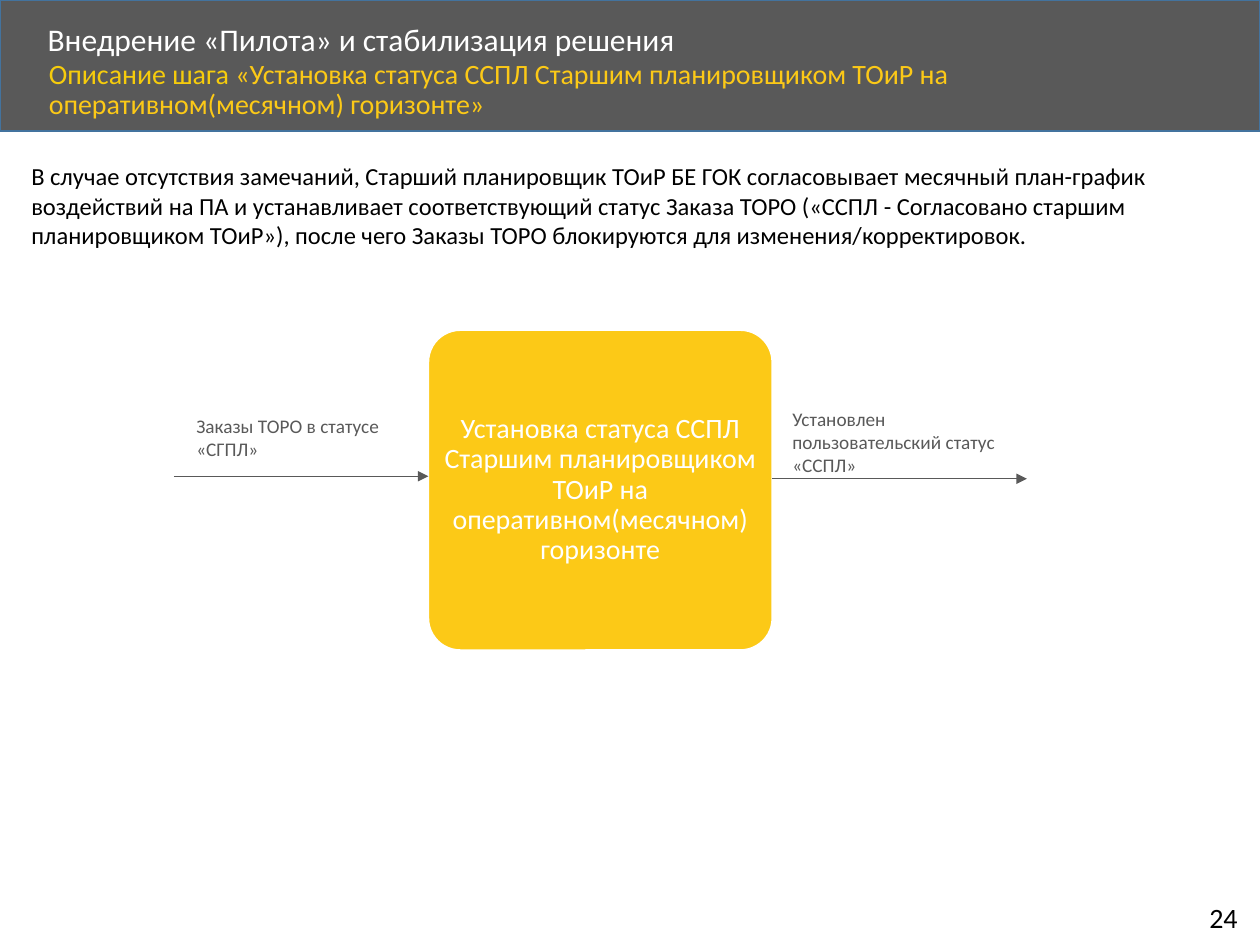
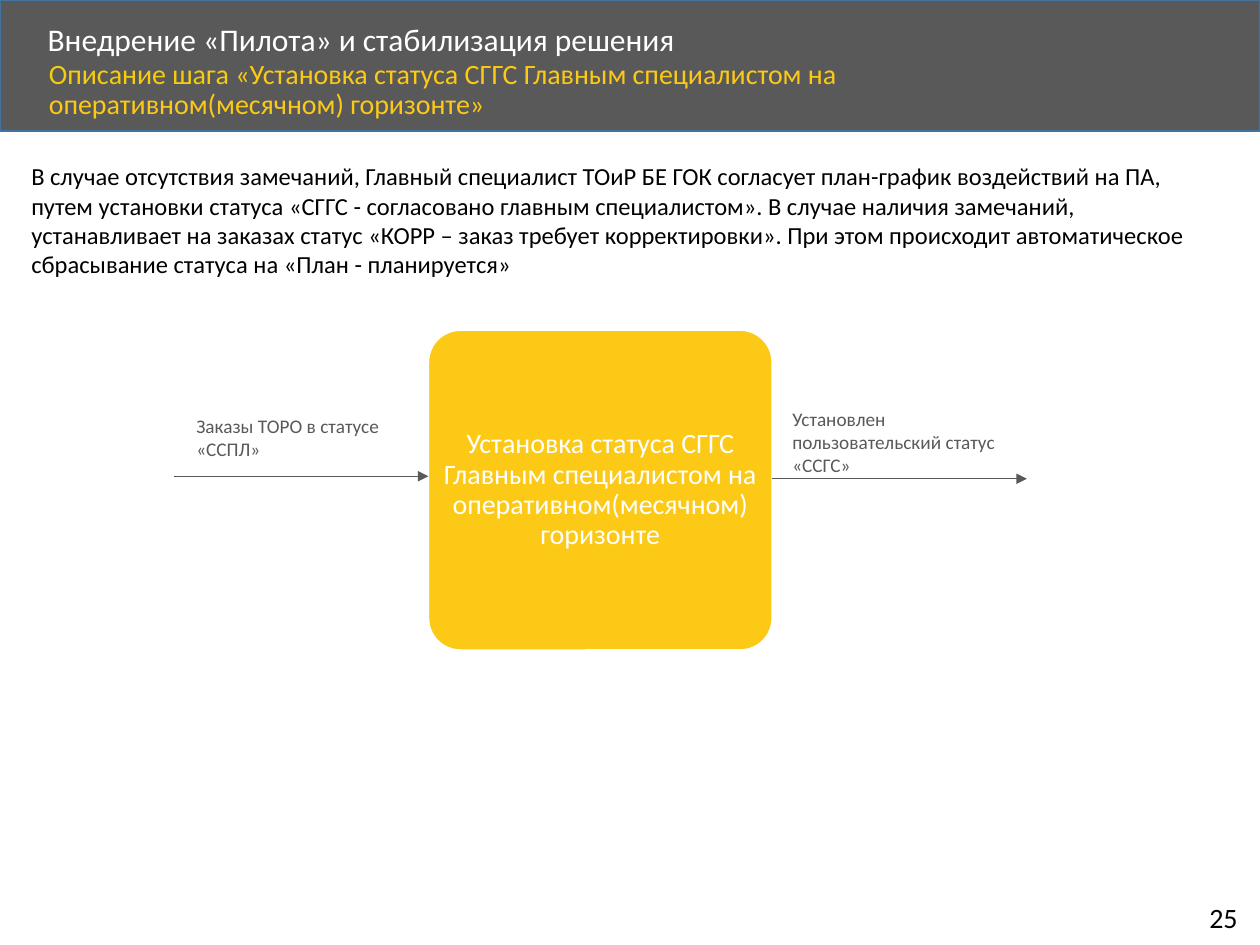
from pptx import Presentation
from pptx.dml.color import RGBColor
from pptx.enum.shapes import MSO_CONNECTOR, MSO_SHAPE
from pptx.enum.text import MSO_ANCHOR, PP_ALIGN
from pptx.oxml.ns import qn
from pptx.util import Inches, Pt
from lxml.etree import SubElement

FONT = "Calibri"
GREY, YELLOW, GOLD = "595959", "FCC917", "F6CC0C"
WHITE, BLACK, BAND_EDGE = "FFFFFF", "000000", "43739E"
SECTION = "Внедрение «Пилота» и стабилизация решения"

STEPS = [
    {
        "number": 24,
        "step": "Установка статуса ССПЛ Старшим планировщиком ТОиР на "
                "оперативном(месячном) горизонте",
        "summary": "В случае отсутствия замечаний, Старший планировщик ТОиР БЕ ГОК "
                   "согласовывает месячный план-график воздействий на ПА и устанавливает "
                   "соответствующий статус Заказа ТОРО («ССПЛ - Cогласовано старшим "
                   "планировщиком ТОиР»), после чего Заказы ТОРО блокируются для "
                   "изменения/корректировок.",
        "summary_height": 0.81,
        "status_in": "СГПЛ",
        "status_out": "ССПЛ",
    },
    {
        "number": 25,
        "step": "Установка статуса СГГС Главным специалистом на "
                "оперативном(месячном) горизонте",
        "summary": "В случае отсутствия замечаний, Главный специалист ТОиР БЕ ГОК "
                   "согласует план-график воздействий на ПА, путем установки статуса "
                   "«СГГС - согласовано главным специалистом». В случае наличия замечаний, "
                   "устанавливает на заказах статус «КОРР – заказ требует корректировки». "
                   "При этом происходит автоматическое сбрасывание статуса на "
                   "«План - планируется»",
        "summary_height": 1.04,
        "status_in": "ССПЛ",
        "status_out": "ССГС",
    },
]


def color(code):
    return RGBColor.from_string(code)


def style(target, size, code):
    """Set the font of a paragraph or a run."""
    target.font.name = FONT
    target.font.size = Pt(size)
    target.font.color.rgb = color(code)


def add_text(slide, box, text, size, code, wrap=True, anchor=MSO_ANCHOR.TOP):
    frame = slide.shapes.add_textbox(*map(Inches, box)).text_frame
    frame.word_wrap = wrap
    frame.vertical_anchor = anchor
    frame.text = text
    style(frame.paragraphs[0].runs[0], size, code)
    return frame.paragraphs[0]


def add_block(slide, preset, box, fill, edge):
    block = slide.shapes.add_shape(preset, *map(Inches, box))
    block.shadow.inherit = False
    block.fill.solid()
    block.fill.fore_color.rgb = color(fill)
    block.line.color.rgb = color(edge)
    block.line.width = Pt(1)
    return block


def add_arrow(slide, left, y, length):
    arrow = slide.shapes.add_connector(
        MSO_CONNECTOR.STRAIGHT, *map(Inches, (left, y, left + length, y)))
    arrow.line.color.rgb = color(GREY)
    arrow.line.width = Pt(0.5)
    SubElement(arrow.line._get_or_add_ln(), qn("a:tailEnd"), type="triangle")
    SubElement(arrow._element.spPr, qn("a:effectLst"))


def add_header(slide, box, step):
    left, top, width, height = box
    add_block(slide, MSO_SHAPE.RECTANGLE, box, GREY, BAND_EDGE)
    title = add_text(slide, (left + 0.28, top + 0.14, 8.07, 0.38), SECTION, 18, WHITE,
                     anchor=MSO_ANCHOR.MIDDLE)
    subtitle = add_text(slide, (left + 0.29, top + 0.43, 8.67, 0.45),
                        "Описание шага ", 16, GOLD)
    step_run = subtitle.add_run()
    step_run.text = f"«{step}»"
    style(step_run, 16, YELLOW)
    for paragraph in (title, subtitle):
        paragraph.line_spacing = 0.9


def add_process(slide, box, step, status_in, status_out):
    """Draw the step with its incoming and outgoing order status."""
    left, top, width, height = box
    right = left + width
    arrow_length = 2.02

    block = add_block(slide, MSO_SHAPE.ROUNDED_RECTANGLE, box, YELLOW, WHITE)
    block.adjustments[0] = 0.1
    frame = block.text_frame
    frame.word_wrap = True
    frame.vertical_anchor = MSO_ANCHOR.MIDDLE
    frame.margin_left = frame.margin_right = frame.margin_top = frame.margin_bottom = 0
    frame.text = step
    name = frame.paragraphs[0]
    name.alignment = PP_ALIGN.CENTER
    name.line_spacing = 0.9
    style(name.runs[0], 16, WHITE)

    add_arrow(slide, right, top + 1.18, arrow_length)
    add_arrow(slide, left - arrow_length, top + 1.16, arrow_length)
    add_text(slide, (left - 1.94, top + 0.62, 2, 0.47),
             f"Заказы ТОРО в статусе «{status_in}»", 11, GREY)
    add_text(slide, (right + 0.06, top + 0.56, 2, 0.66),
             f"Установлен пользовательский статус «{status_out}»", 11, GREY)


def add_step_slide(deck, content):
    slide = deck.slides.add_slide(deck.slide_layouts[6])
    add_header(slide, (0, 0, 10, 1.04), content["step"])
    add_text(slide, (9.5, 7.1, 0.46, 0.37), str(content["number"]), 16, BLACK, wrap=False)
    add_process(slide, (3.4, 2.62, 2.73, 2.54), content["step"],
                content["status_in"], content["status_out"])
    add_text(slide, (0.15, 1.23, 9.46, content["summary_height"]),
             content["summary"], 14, BLACK)


def main():
    deck = Presentation()
    deck.slide_width, deck.slide_height = Inches(10), Inches(7.5)
    for content in STEPS:
        add_step_slide(deck, content)
    deck.save("out.pptx")


if __name__ == "__main__":
    main()
